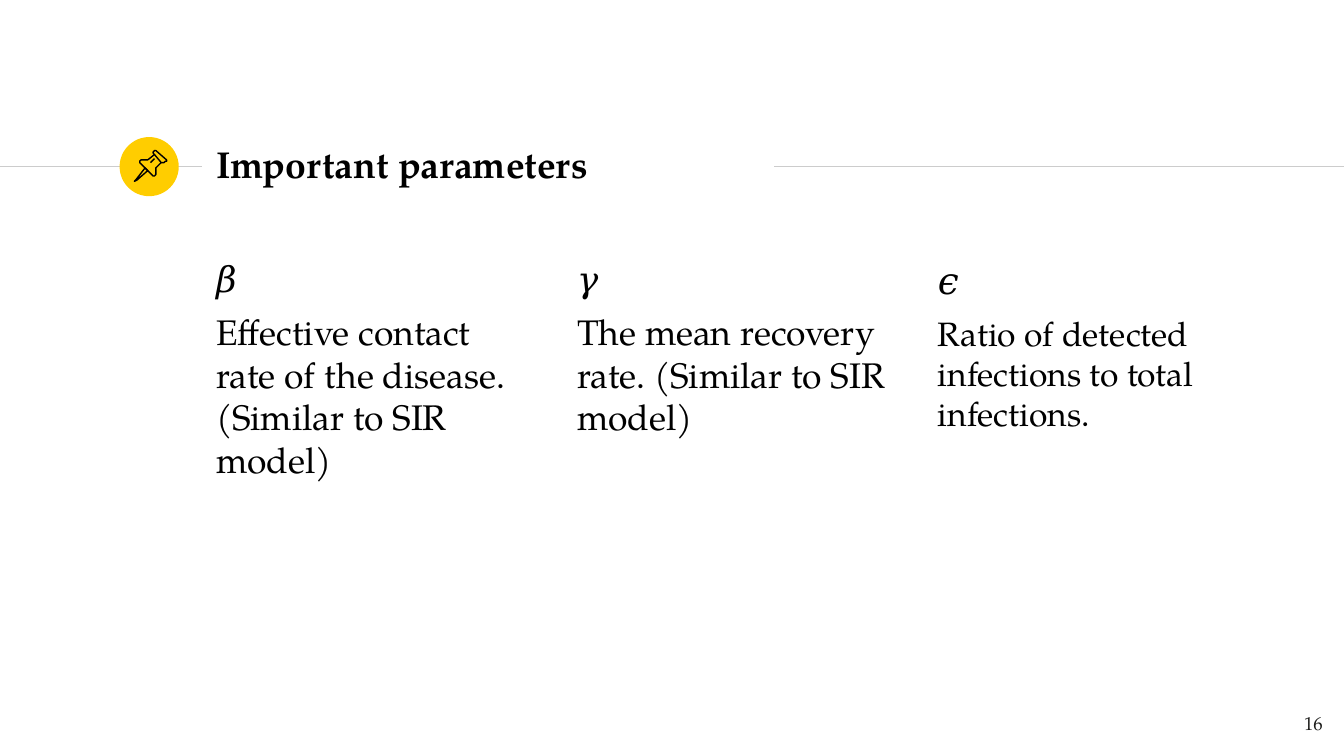
from lxml.etree import SubElement
from pptx import Presentation
from pptx.dml.color import RGBColor
from pptx.enum.shapes import MSO_CONNECTOR as Connector, MSO_SHAPE as Shape
from pptx.enum.text import MSO_ANCHOR as Anchor, PP_ALIGN as Align
from pptx.oxml.ns import qn
from pptx.util import Inches, Pt

FONT = "TeX Gyre Pagella"
TITLE = "Important parameters"
PAGE_NUMBER = "16"
PARAMETERS = [
    (("𝛽", 19, FONT), ("Effective contact rate of the disease. (Similar to SIR model)", 19)),
    (("𝛾", 19, FONT), ("The mean recovery rate. (Similar to SIR model)", 19)),
    (("𝜖", 20, "Cambria"), ("Ratio of detected infections to total infections.", 18)),
]
RULES = [(0, 1.5), (5.76, 10)]
RULE_Y = 1.24
FIRST_COLUMN, LAST_COLUMN = 1.51, 6.88

PIN_NEEDLE = [(108, 125), (101, 134), (100, 135), (102, 134), (110, 127)]
PIN_CAP = [(115, 115), (120, 121), (122, 121), (123, 120), (124, 120), (124, 119),
           (116, 112), (115, 112), (114, 113), (114, 114)]
PIN_BODY = [(115, 115), (110, 119), (107, 119), (105, 119), (104, 120), (104, 121),
            (114, 131), (115, 131), (116, 130), (116, 125), (120, 121)]
PIN_SHINE = [(112, 121), (115, 118)]
PIN = [(PIN_NEEDLE, True), (PIN_CAP, True), (PIN_BODY, False), (PIN_SHINE, False)]


def color(value):
    return RGBColor.from_string(value)


def add_text(frame, text, size, font=FONT, bold=False, fill="000000", align=Align.LEFT, before=0):
    para = frame.paragraphs[0] if not frame.text else frame.add_paragraph()
    para.alignment = align
    para.space_before = Pt(before)
    span = para.add_run()
    span.text = text
    span.font.size = Pt(size)
    span.font.name = font
    span.font.bold = bold
    span.font.color.rgb = color(fill)


def add_box(page, left, top, width, height, anchor=Anchor.TOP):
    box = page.shapes.add_textbox(Inches(left), Inches(top), Inches(width), Inches(height))
    frame = box.text_frame
    frame.word_wrap = True
    frame.vertical_anchor = anchor
    frame.margin_left = frame.margin_right = Inches(0.1)
    frame.margin_top = frame.margin_bottom = Inches(0.1)
    return frame


def add_rule(page, start, end):
    rule = page.shapes.add_connector(
        Connector.STRAIGHT, Inches(start), Inches(RULE_Y), Inches(end), Inches(RULE_Y))
    rule.line.color.rgb = color("CCCCCC")
    rule.line.width = Pt(0.75)
    SubElement(rule._element.spPr, qn("a:effectLst"))


def add_pin_part(page, points, closed):
    builder = page.shapes.build_freeform(*points[0], scale=Inches(0.01))
    builder.add_line_segments(points[1:], close=closed)
    part = builder.convert_to_shape()
    part.shadow.inherit = False
    part.fill.background()
    part.line.color.rgb = color("000000")
    part.line.width = Pt(0.75)


deck = Presentation()
deck.slide_width = Inches(10)
deck.slide_height = deck.slide_width * 9 // 16
page = deck.slides.add_slide(deck.slide_layouts[6])

for start, end in RULES:
    add_rule(page, start, end)

badge = page.shapes.add_shape(Shape.OVAL, Inches(0.89), Inches(1.02), Inches(0.44), Inches(0.44))
badge.shadow.inherit = False
badge.fill.solid()
badge.fill.fore_color.rgb = color("FFCD00")
badge.line.fill.background()

add_text(add_box(page, 1.51, 0.98, 4.24, 0.48, Anchor.MIDDLE), TITLE, 20, bold=True)

column_step = (LAST_COLUMN - FIRST_COLUMN) / (len(PARAMETERS) - 1)
for index, (symbol, meaning) in enumerate(PARAMETERS):
    frame = add_box(page, FIRST_COLUMN + index * column_step, 1.81, 2.55, 3.41)
    add_text(frame, *symbol, bold=True)
    add_text(frame, *meaning, before=6)

for points, closed in PIN:
    add_pin_part(page, points, closed)

add_text(add_box(page, 9.34, 5.21, 0.6, 0.43), PAGE_NUMBER, 10, fill="1D1D1B", align=Align.RIGHT)

deck.save("out.pptx")
